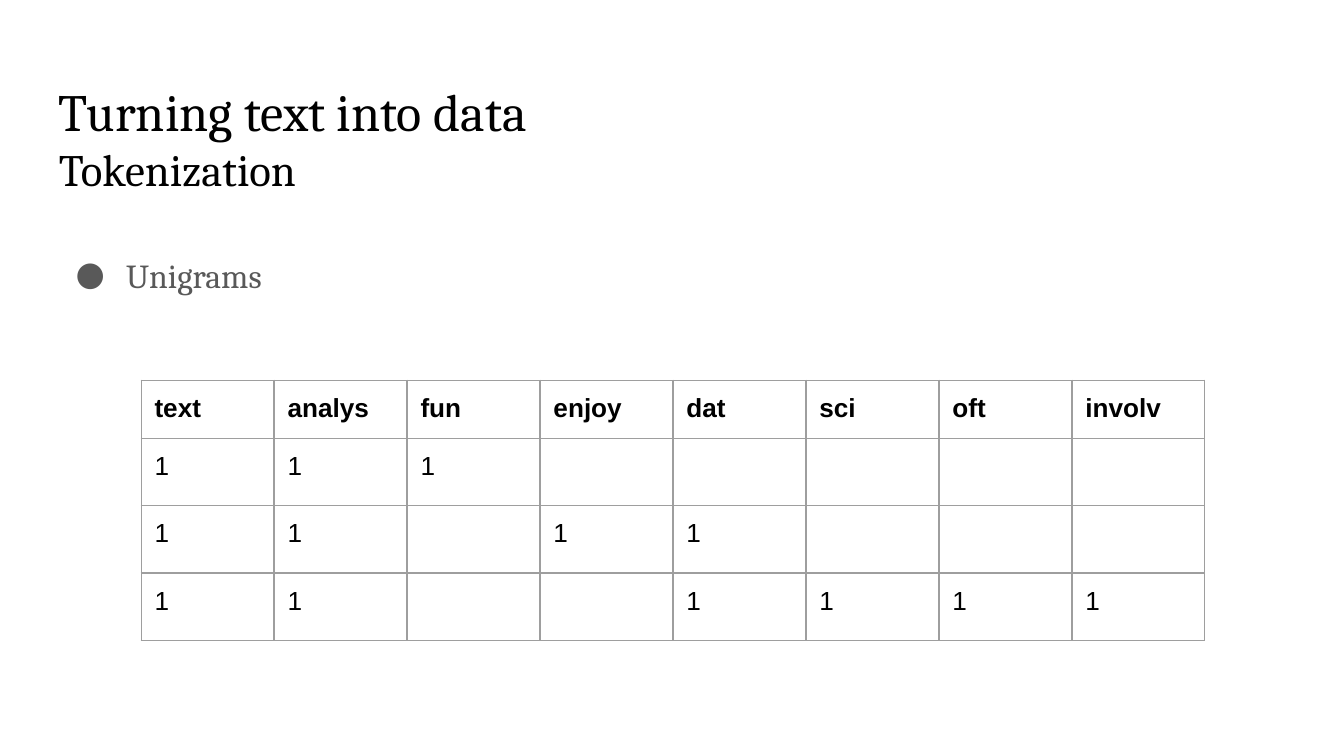
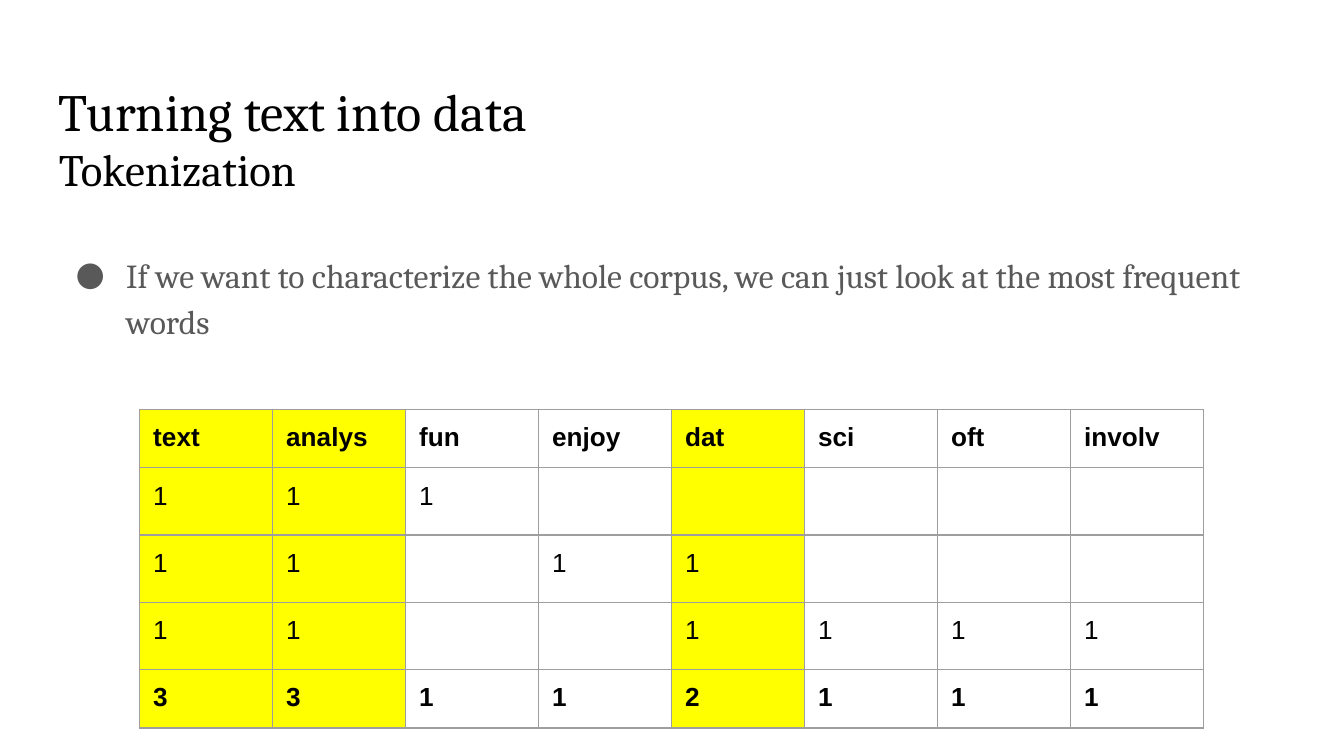
from dataclasses import dataclass

from lxml import etree
from pptx import Presentation
from pptx.dml.color import RGBColor
from pptx.enum.text import MSO_ANCHOR
from pptx.oxml.ns import qn
from pptx.util import Pt

TOP = MSO_ANCHOR.TOP

# Content: tokens are the columns, each row counts them in one document
TITLE, SUBTITLE = "Turning text into data", "Tokenization"
TOKENS = ["text", "analys", "fun", "enjoy", "dat", "sci", "oft", "involv"]
COUNTS = [
    [1, 1, 1, 0, 0, 0, 0, 0],
    [1, 1, 0, 1, 1, 0, 0, 0],
    [1, 1, 0, 0, 1, 1, 1, 1],
]
SLIDES = [
    {"point": "Unigrams", "table_at": (75.6, 203.7), "totals": False},
    {
        "point": "If we want to characterize the whole corpus, "
                 "we can just look at the most frequent words",
        "table_at": (74.9, 219.4),
        "totals": True,
    },
]


@dataclass(frozen=True)
class Theme:
    ink: str = "000000"
    body: str = "595959"
    grid: str = "9E9E9E"
    highlight: str = "FFFF00"
    serif: str = "Cambria"
    sans: str = "Arial"
    title_size: int = 28
    subtitle_size: int = 24
    body_size: int = 18
    cell_size: int = 14
    inset: float = 7.2
    grid_width: float = 0.75


THEME = Theme()
SLIDE_SIZE = (720, 405)
TITLE_BOX = (24.5, 35.1, 671, 45.1)
BODY_BOX = (24.5, 126, 671, 234)
BULLET_INDENT, BULLET_HANG = 36, 27
COLUMN_WIDTH, ROW_HEIGHT = 71.25, 30


def write(paragraph, text, *, size, font, color, bold=False, spacing=None, bullet=None):
    """Fill a paragraph with one formatted run, or size it if it is empty."""
    if not text:
        end = etree.SubElement(paragraph._p, qn("a:endParaRPr"), sz=str(size * 100))
        etree.SubElement(end, qn("a:latin"), typeface=font)
        return
    run = paragraph.add_run()
    run.text = text
    run.font.size, run.font.name, run.font.bold = Pt(size), font, bold
    run.font.color.rgb = RGBColor.from_string(color)
    if spacing:
        paragraph.line_spacing = spacing
    if bullet:
        props = paragraph._p.get_or_add_pPr()
        props.set("marL", str(Pt(BULLET_INDENT)))
        props.set("indent", str(-Pt(BULLET_HANG)))
        bullet_color = etree.SubElement(props, qn("a:buClr"))
        etree.SubElement(bullet_color, qn("a:srgbClr"), val=color)
        etree.SubElement(props, qn("a:buFont"), typeface=font)
        etree.SubElement(props, qn("a:buChar"), char=bullet)


def set_insets(holder):
    holder.margin_left = holder.margin_right = Pt(THEME.inset)
    holder.margin_top = holder.margin_bottom = Pt(THEME.inset)
    holder.vertical_anchor = TOP


def add_text_frame(slide, box):
    frame = slide.shapes.add_textbox(*map(Pt, box)).text_frame
    frame.word_wrap = True
    set_insets(frame)
    return frame


def add_heading(slide):
    frame = add_text_frame(slide, TITLE_BOX)
    style = {"font": THEME.serif, "color": THEME.ink}
    write(frame.paragraphs[0], TITLE, size=THEME.title_size, **style)
    write(frame.add_paragraph(), SUBTITLE, size=THEME.subtitle_size, **style)


def add_point(slide, point):
    frame = add_text_frame(slide, BODY_BOX)
    write(frame.paragraphs[0], point, size=THEME.body_size, font=THEME.serif,
          color=THEME.body, spacing=1.15, bullet="●")


def outline(cell):
    props = cell._tc.get_or_add_tcPr()
    for side in ("lnL", "lnR", "lnT", "lnB"):
        line = etree.SubElement(props, qn(f"a:{side}"), w=str(Pt(THEME.grid_width)))
        fill = etree.SubElement(line, qn("a:solidFill"))
        etree.SubElement(fill, qn("a:srgbClr"), val=THEME.grid)


def add_count_table(slide, position, with_totals):
    totals = [sum(column) for column in zip(*COUNTS)]
    rows = [TOKENS] + COUNTS + ([totals] if with_totals else [])
    size = (COLUMN_WIDTH * len(TOKENS), ROW_HEIGHT * len(rows))
    table = slide.shapes.add_table(
        len(rows), len(TOKENS), *map(Pt, position + size)).table
    table.first_row = table.horz_banding = False
    for column in table.columns:
        column.width = Pt(COLUMN_WIDTH)

    for r, row in enumerate(rows):
        table.rows[r].height = Pt(ROW_HEIGHT)
        for c, value in enumerate(row):
            cell = table.cell(r, c)
            set_insets(cell)
            outline(cell)
            # Tokens counted more than once stand out when totals are shown
            if with_totals and totals[c] > 1:
                cell.fill.solid()
                cell.fill.fore_color.rgb = RGBColor.from_string(THEME.highlight)
            else:
                cell.fill.background()
            write(cell.text_frame.paragraphs[0], str(value or ""),
                  size=THEME.cell_size if value else THEME.body_size,
                  font=THEME.sans, color=THEME.ink,
                  bold=row is TOKENS or row is totals)


def main():
    deck = Presentation()
    deck.slide_width, deck.slide_height = map(Pt, SLIDE_SIZE)
    blank = deck.slide_layouts[6]
    for content in SLIDES:
        slide = deck.slides.add_slide(blank)
        add_heading(slide)
        add_point(slide, content["point"])
        add_count_table(slide, content["table_at"], content["totals"])
    deck.save("out.pptx")


if __name__ == "__main__":
    main()
